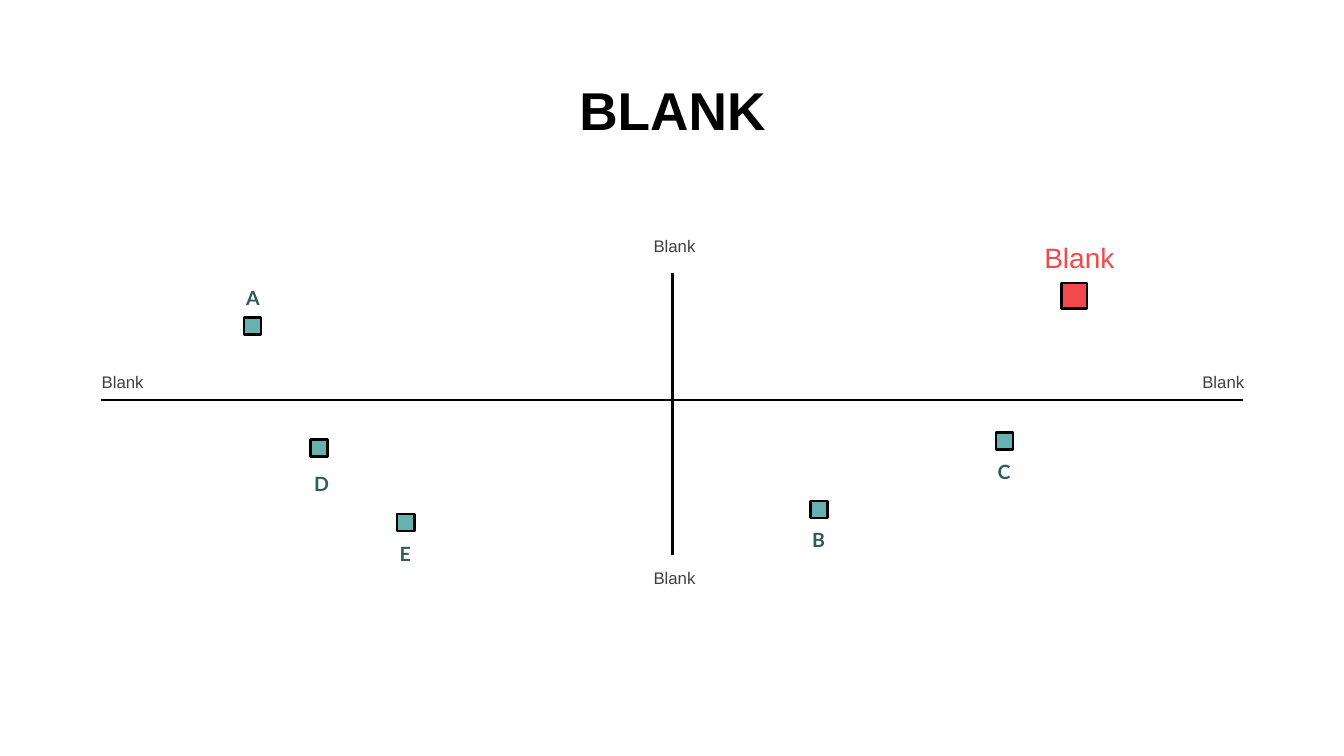
import dataclasses

import lxml.etree
import pptx
import pptx.dml.color
import pptx.enum.shapes
import pptx.enum.text
import pptx.oxml.ns
import pptx.shapes.autoshape
import pptx.slide
import pptx.util

Align = pptx.enum.text.PP_ALIGN
Anchor = pptx.enum.text.MSO_ANCHOR
Size = pptx.enum.text.MSO_AUTO_SIZE
PX = 9144


@dataclasses.dataclass(frozen=True)
class Style:
    face: str
    size: int
    color: str
    bold: bool = False
    lead: float = 1.0


@dataclasses.dataclass(frozen=True)
class Theme:
    ink: str = "000000"
    teal: str = "66B2B0"
    red: str = "F2494C"
    edge: float = 1.75
    title: Style = Style("Arial", 38, "000000", True, 0.9)
    axis: Style = Style("Arial", 12, "404040", False, 0.9)
    item: Style = Style("Lato", 14, "2F5D5C", True)
    focus: Style = Style("Arial", 20, "F2494C")


@dataclasses.dataclass(frozen=True)
class Box:
    left: int
    top: int
    width: int
    height: int


@dataclasses.dataclass(frozen=True)
class Label:
    text: str
    box: Box
    style: Style
    align: Align = Align.CENTER
    fit: Size = Size.NONE


@dataclasses.dataclass(frozen=True)
class Mark:
    box: Box
    fill: str
    label: Label


THEME = Theme()


def item(text: str, left: int, top: int, tag_left: int, tag_top: int) -> Mark:
    tag = Label(text, Box(tag_left, tag_top, 230, 34), THEME.item, fit=Size.SHAPE_TO_FIT_TEXT)
    return Mark(Box(left, top, 17, 17), THEME.teal, tag)


AXES = [Box(100, 397, 1133, 0), Box(667, 271, 0, 280)]
ENDS = [
    Label("Blank", Box(559, 231, 220, 30), THEME.axis),
    Label("Blank", Box(91, 366, 220, 30), THEME.axis, Align.LEFT),
    Label("Blank", Box(1024, 366, 220, 30), THEME.axis, Align.RIGHT),
    Label("Blank", Box(559, 561, 220, 30), THEME.axis),
]
MARKS = [
    item("A", 242, 315, 136, 279),
    Mark(
        Box(1053, 281, 25, 25),
        THEME.red,
        Label("Blank", Box(988, 234, 165, 44), THEME.focus, fit=Size.SHAPE_TO_FIT_TEXT),
    ),
    item("D", 308, 436, 204, 463),
    item("E", 394, 510, 287, 533),
    item("B", 804, 497, 697, 519),
    item("C", 988, 429, 881, 451),
]


def rgb(code: str) -> pptx.dml.color.RGBColor:
    return pptx.dml.color.RGBColor.from_string(code)


def emu(box: Box) -> list[int]:
    return [n * PX for n in dataclasses.astuple(box)]


def write(shape: pptx.shapes.autoshape.Shape, label: Label, anchor: Anchor) -> None:
    frame = shape.text_frame
    frame.text = label.text
    frame.word_wrap = True
    frame.auto_size = label.fit
    frame.vertical_anchor = anchor
    para = frame.paragraphs[0]
    para.alignment = label.align
    para.line_spacing = label.style.lead
    font = para.font
    font.name = label.style.face
    font.size = pptx.util.Pt(label.style.size)
    font.bold = label.style.bold
    font.color.rgb = rgb(label.style.color)


def draw_title(slide: pptx.slide.Slide, label: Label) -> None:
    title = slide.shapes.title
    title.left, title.top, title.width, title.height = emu(label.box)
    write(title, label, Anchor.MIDDLE)


def draw_label(slide: pptx.slide.Slide, label: Label) -> None:
    write(slide.shapes.add_textbox(*emu(label.box)), label, Anchor.TOP)


def draw_axis(slide: pptx.slide.Slide, box: Box) -> None:
    left, top, width, height = emu(box)
    kind = pptx.enum.shapes.MSO_CONNECTOR.STRAIGHT
    axis = slide.shapes.add_connector(kind, left, top, left + width, top + height)
    axis.line.color.rgb = rgb(THEME.ink)
    axis.line.width = pptx.util.Pt(THEME.edge)
    lxml.etree.SubElement(axis._element.spPr, pptx.oxml.ns.qn("a:effectLst"))


def draw_mark(slide: pptx.slide.Slide, mark: Mark) -> None:
    kind = pptx.enum.shapes.MSO_SHAPE.RECTANGLE
    shape = slide.shapes.add_shape(kind, *emu(mark.box))
    shape.shadow.inherit = False
    shape.fill.solid()
    shape.fill.fore_color.rgb = rgb(mark.fill)
    shape.line.color.rgb = rgb(THEME.ink)
    shape.line.width = pptx.util.Pt(THEME.edge)
    draw_label(slide, mark.label)


def main() -> None:
    deck = pptx.Presentation()
    deck.slide_width = 1333 * PX
    deck.slide_height = 750 * PX
    slide = deck.slides.add_slide(deck.slide_layouts.get_by_name("Title Only"))
    draw_title(slide, Label("BLANK", Box(92, 40, 1150, 145), THEME.title))
    for axis in AXES:
        draw_axis(slide, axis)
    for end in ENDS:
        draw_label(slide, end)
    for mark in MARKS:
        draw_mark(slide, mark)
    deck.save("out.pptx")


if __name__ == "__main__":
    main()
